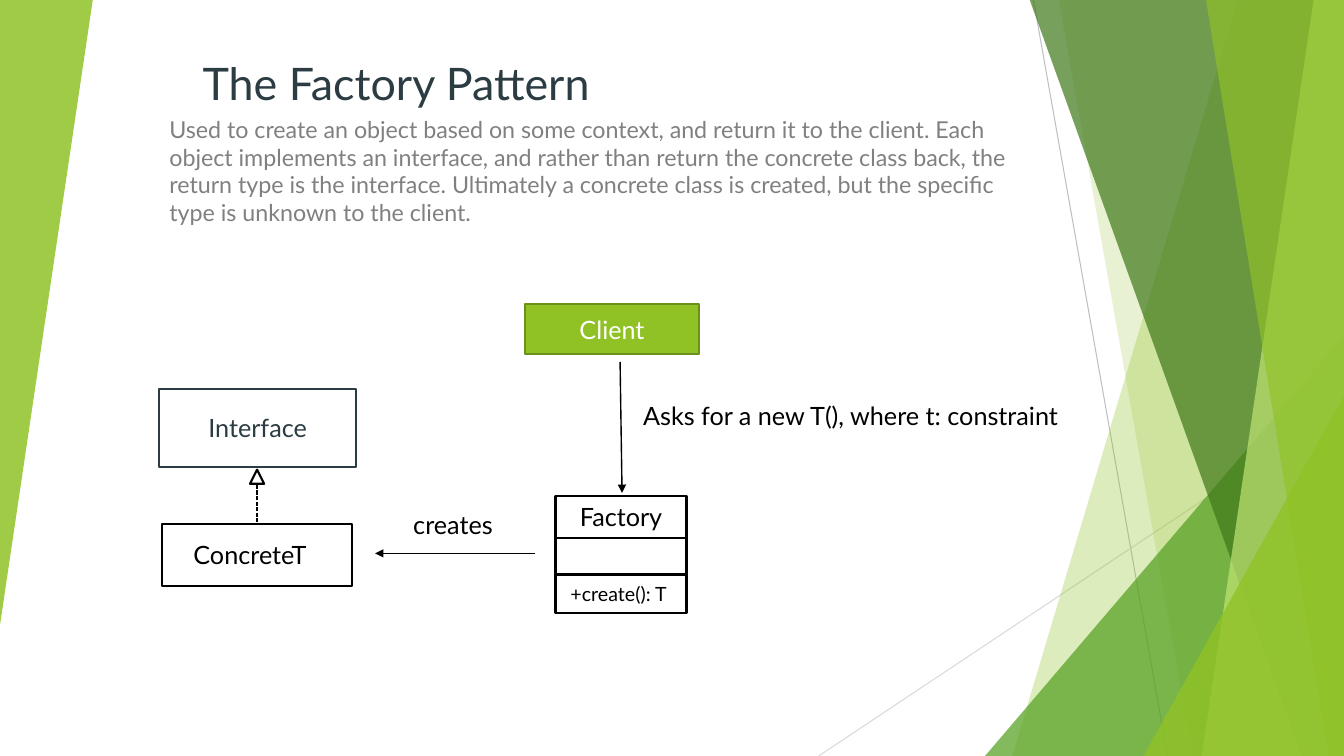
from dataclasses import dataclass
from typing import Optional

from lxml import etree
from pptx import Presentation
from pptx import util as u
from pptx.dml.color import RGBColor
from pptx.enum import dml, shapes, text
from pptx.oxml import ns

FONT = "Lato"
BLACK = RGBColor(0x00, 0x00, 0x00)
WHITE = RGBColor(0xFF, 0xFF, 0xFF)
SLATE = RGBColor(0x2C, 0x3C, 0x43)
GREY = RGBColor(0x80, 0x80, 0x80)
PALE_GREY = RGBColor(0xD9, 0xD9, 0xD9)
MID_GREY = RGBColor(0xBF, 0xBF, 0xBF)
LIME = RGBColor(0x90, 0xC2, 0x26)
DARK_LIME = RGBColor(0x6B, 0x90, 0x1C)
LIGHT_LIME = RGBColor(0xC0, 0xE4, 0x74)
GREEN = RGBColor(0x54, 0xA0, 0x21)
FOREST = RGBColor(0x3F, 0x78, 0x19)

PAGE_WIDTH, PAGE_HEIGHT = 13.33, 7.5
RIBBON_TOP = -0.01
MIDDLE, TOP = text.MSO_ANCHOR.MIDDLE, text.MSO_ANCHOR.TOP


@dataclass
class Ribbon:
    """A band reaching the right page edge, with a slanted left side."""
    top_x: float
    bottom_x: float
    color: RGBColor
    opacity: int


@dataclass
class Wedge:
    """A right-angled triangle."""
    left: float
    top: float
    width: float
    height: float
    color: RGBColor
    opacity: int
    rotation: int = 0


@dataclass
class Box:
    left: float
    top: float
    width: float
    height: float
    label: str = ""
    fill: RGBColor = WHITE
    line: RGBColor = BLACK
    ink: RGBColor = BLACK
    anchor: text.MSO_ANCHOR = TOP


@dataclass
class Label:
    left: float
    top: float
    width: float
    height: float
    words: str
    size: float = 18
    wrap: bool = True


@dataclass
class Line:
    x1: float
    y1: float
    x2: float
    y2: float
    color: RGBColor = BLACK
    weight: float = 1
    arrow: bool = False
    dash: Optional[dml.MSO_LINE] = None


DECORATION = [
    Ribbon(12.28, 10.04, LIME, 30),
    Ribbon(10.5, 11.83, LIME, 20),
    Wedge(9.77, 3.33, 3.56, 4.17, GREEN, 72),
    Ribbon(10.21, 12.91, FOREST, 70),
    Ribbon(13.03, 11.92, LIGHT_LIME, 70),
    Ribbon(11.96, 13.18, LIME, 65),
    Wedge(11.34, 3.93, 1.99, 3.57, LIME, 80),
    Wedge(0, 0, 0.92, 6.2, LIME, 85, rotation=180),
]
DECORATION_LINES = [
    Line(10.25, 0, 11.58, 7.5, MID_GREY, 0.75),
    Line(13.33, 4.03, 8.12, 7.5, PALE_GREY, 0.75),
]
CONCRETE = Box(1.61, 5.2, 1.88, 0.61)
BOXES = [
    Box(5.51, 4.92, 1.3, 1.16, "Factory"),
    Box(5.51, 5.34, 1.3, 0.36),
    Box(5.21, 3.02, 1.72, 0.49, "Client", LIME, DARK_LIME, WHITE, MIDDLE),
    Box(1.58, 3.86, 1.95, 0.77, "Interface", WHITE, SLATE, SLATE, MIDDLE),
]
LABELS = [
    Label(5.56, 5.72, 1.26, 0.34, "+create(): T", 14, wrap=False),
    Label(1.82, 5.3, 1.48, 0.4, "ConcreteT"),
    Label(4, 5, 1.32, 0.4, "creates"),
    Label(6.28, 3.92, 4.74, 0.4, "Asks for a new T(), where t: constraint"),
]
ARROWS = [
    Line(5.31, 5.49, 3.72, 5.49, arrow=True),
    Line(6.15, 3.59, 6.17, 4.89, arrow=True),
]
REALIZATION = Line(2.55, 4.81, 2.55, 5.2, dash=dml.MSO_LINE.SQUARE_DOT)
SUMMARY = (
    "Used to create an object based on some context, and return it to the client. "
    "Each object implements an interface, and rather than return the concrete class "
    "back, the return type is the interface. Ultimately a concrete class is created, "
    "but the specific type is unknown to the client."
)


def place(shape, left: float, top: float, width: float, height: float) -> None:
    shape.left, shape.top = u.Inches(left), u.Inches(top)
    shape.width, shape.height = u.Inches(width), u.Inches(height)


def write(shape, words: str, size: float, color: RGBColor, align, anchor=TOP):
    frame = shape.text_frame
    frame.text = words
    frame.word_wrap = True
    frame.auto_size = text.MSO_AUTO_SIZE.NONE
    frame.vertical_anchor = anchor
    para = frame.paragraphs[0]
    para.alignment = align
    for span in para.runs:
        span.font.name = FONT
        span.font.size = u.Pt(size)
        span.font.color.rgb = color
    return frame


def add_preset(page, kind, left: float, top: float, width: float, height: float):
    shape = page.shapes.add_shape(kind, *map(u.Inches, (left, top, width, height)))
    shape.shadow.inherit = False
    return shape


def fill_translucent(shape, color: RGBColor, opacity: int) -> None:
    shape.shadow.inherit = False
    shape.line.fill.background()
    shape.fill.solid()
    shape.fill.fore_color.rgb = color
    tint = shape.fill._xPr.find(".//" + ns.qn("a:srgbClr"))
    etree.SubElement(tint, ns.qn("a:alpha"), val=str(opacity * 1000))


def add_ribbon(page, ribbon: Ribbon) -> None:
    corners = [(ribbon.top_x, RIBBON_TOP), (PAGE_WIDTH, RIBBON_TOP),
               (PAGE_WIDTH, PAGE_HEIGHT), (ribbon.bottom_x, PAGE_HEIGHT)]
    points = [(u.Inches(x), u.Inches(y)) for x, y in corners]
    builder = page.shapes.build_freeform(*points[0])
    builder.add_line_segments(points[1:], close=True)
    fill_translucent(builder.convert_to_shape(), ribbon.color, ribbon.opacity)


def add_wedge(page, wedge: Wedge) -> None:
    shape = add_preset(page, shapes.MSO_SHAPE.ISOSCELES_TRIANGLE,
                       wedge.left, wedge.top, wedge.width, wedge.height)
    shape.adjustments[0] = 1
    shape.rotation = wedge.rotation
    fill_translucent(shape, wedge.color, wedge.opacity)


def add_box(page, box: Box):
    shape = add_preset(page, shapes.MSO_SHAPE.RECTANGLE,
                       box.left, box.top, box.width, box.height)
    shape.fill.solid()
    shape.fill.fore_color.rgb = box.fill
    shape.line.color.rgb = box.line
    shape.line.width = u.Pt(1.5)
    if box.label:
        write(shape, box.label, 18, box.ink, text.PP_ALIGN.CENTER, box.anchor)
    return shape


def add_label(page, label: Label) -> None:
    shape = page.shapes.add_textbox(
        *map(u.Inches, (label.left, label.top, label.width, label.height)))
    frame = write(shape, label.words, label.size, BLACK, text.PP_ALIGN.LEFT)
    frame.word_wrap = label.wrap
    frame.auto_size = text.MSO_AUTO_SIZE.SHAPE_TO_FIT_TEXT


def add_line(page, line: Line):
    connector = page.shapes.add_connector(
        shapes.MSO_CONNECTOR.STRAIGHT,
        *map(u.Inches, (line.x1, line.y1, line.x2, line.y2)))
    connector.line.color.rgb = line.color
    connector.line.width = u.Pt(line.weight)
    if line.dash is not None:
        connector.line.dash_style = line.dash
    properties = connector._element.spPr
    if line.arrow:
        etree.SubElement(properties.find(ns.qn("a:ln")), ns.qn("a:tailEnd"), type="triangle")
    etree.SubElement(properties, ns.qn("a:effectLst"))
    return connector


def main() -> None:
    deck = Presentation()
    deck.slide_width, deck.slide_height = u.Inches(PAGE_WIDTH), u.Inches(PAGE_HEIGHT)
    page = deck.slides.add_slide(deck.slide_layouts[0])

    # Title and summary
    title, summary = page.shapes.title, page.placeholders[1]
    place(title, 0.17, 0.23, 5.78, 0.91)
    write(title, "The Factory Pattern", 32, SLATE, text.PP_ALIGN.RIGHT, text.MSO_ANCHOR.BOTTOM)
    place(summary, 1.58, 1.09, 8.49, 1.2)
    write(summary, SUMMARY, 16.6, GREY, text.PP_ALIGN.LEFT)
    summary.text_frame.paragraphs[0].space_before = u.Pt(10)

    # Green decoration
    for line in DECORATION_LINES:
        add_line(page, line)
    for part in DECORATION:
        if isinstance(part, Ribbon):
            add_ribbon(page, part)
        else:
            add_wedge(page, part)

    # Class diagram
    concrete = add_box(page, CONCRETE)
    for box in BOXES:
        add_box(page, box)
    for label in LABELS:
        add_label(page, label)
    for arrow in ARROWS:
        add_line(page, arrow)

    # Realization arrow from the concrete class to the interface
    head = add_preset(page, shapes.MSO_SHAPE.ISOSCELES_TRIANGLE, 2.48, 4.66, 0.14, 0.14)
    head.fill.background()
    head.line.color.rgb = BLACK
    head.line.width = u.Pt(1.5)
    add_line(page, REALIZATION).end_connect(concrete, 0)

    deck.save("out.pptx")


if __name__ == "__main__":
    main()
